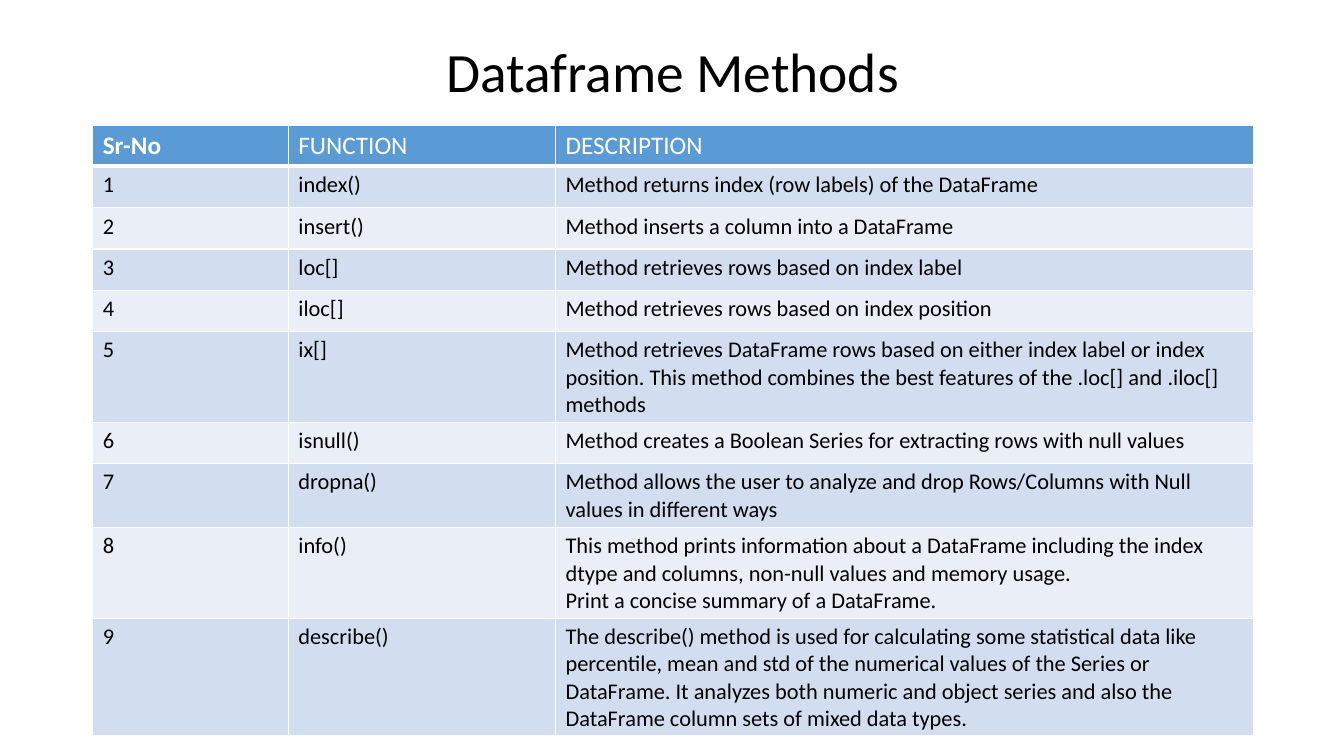
import dataclasses

import lxml.etree
import pptx
import pptx.dml.color
import pptx.enum.text
import pptx.oxml.ns
import pptx.table
import pptx.text.text
import pptx.util

Inches = pptx.util.Inches
RGBColor = pptx.dml.color.RGBColor

FONT = "Calibri"
WHITE = RGBColor(0xFF, 0xFF, 0xFF)
BLACK = RGBColor(0x00, 0x00, 0x00)
BLUE = RGBColor(0x5B, 0x9B, 0xD5)
BANDS = (RGBColor(0xEA, 0xEF, 0xF7), RGBColor(0xD2, 0xDE, 0xEF))

LEFT, WIDTH = 0.92, 11.5
COLUMNS = (1.94, 2.65, 6.92)
ROW = 0.41


@dataclasses.dataclass(frozen=True)
class Method:
    name: str
    lines: tuple[str, ...]


@dataclasses.dataclass(frozen=True)
class Style:
    size: float
    color: RGBColor
    bold: bool = False


HEADS = ("Sr-No", "FUNCTION", "DESCRIPTION")
METHODS = (
    Method("index()", ("Method returns index (row labels) of the DataFrame",)),
    Method("insert()", ("Method inserts a column into a DataFrame",)),
    Method("loc[]", ("Method retrieves rows based on index label",)),
    Method("iloc[]", ("Method retrieves rows based on index position",)),
    Method("ix[]", (
        "Method retrieves DataFrame rows based on either index label or index "
        "position. This method combines the best features of the .loc[] and "
        ".iloc[] methods",)),
    Method("isnull()", (
        "Method creates a Boolean Series for extracting rows with null values",)),
    Method("dropna()", (
        "Method allows the user to analyze and drop Rows/Columns with Null "
        "values in different ways",)),
    Method("info()", (
        "This method prints information about a DataFrame including the index "
        "dtype and columns, non-null values and memory usage.",
        "Print a concise summary of a DataFrame.")),
    Method("describe()", (
        "The describe() method is used for calculating some statistical data "
        "like percentile, mean and std of the numerical values of the Series "
        "or DataFrame. It analyzes both numeric and object series and also "
        "the DataFrame column sets of mixed data types.",)),
)


def write(frame: pptx.text.text.TextFrame, lines: tuple[str, ...], style: Style) -> None:
    for index, line in enumerate(lines):
        para = frame.add_paragraph() if index else frame.paragraphs[0]
        run = para.add_run()
        run.text = line
        run.font.name = FONT
        run.font.size = pptx.util.Pt(style.size)
        run.font.bold = style.bold
        run.font.color.rgb = style.color


def border(cell: pptx.table._Cell, side: str, points: float) -> None:
    qn = pptx.oxml.ns.qn
    props = cell._tc.get_or_add_tcPr()
    line = lxml.etree.SubElement(props, qn(f"a:ln{side}"), w=str(pptx.util.Pt(points)))
    fill = lxml.etree.SubElement(line, qn("a:solidFill"))
    lxml.etree.SubElement(fill, qn("a:srgbClr"), val=str(WHITE))


def paint(cell: pptx.table._Cell, row: int, fill: RGBColor) -> None:
    border(cell, "L", 1)
    border(cell, "R", 1)
    border(cell, "T", 3 if row == 1 else 1)
    border(cell, "B", 3 if row == 0 else 1)
    cell.fill.solid()
    cell.fill.fore_color.rgb = fill


def main() -> None:
    deck = pptx.Presentation()
    deck.slide_width, deck.slide_height = Inches(13.33), Inches(7.5)
    slide = deck.slides.add_slide(deck.slide_layouts[6])

    title = slide.shapes.add_textbox(
        Inches(LEFT), Inches(0.4), Inches(WIDTH), Inches(0.67)).text_frame
    title.word_wrap = True
    title.vertical_anchor = pptx.enum.text.MSO_ANCHOR.MIDDLE
    write(title, ("Dataframe Methods",), Style(39.6, BLACK))
    title.paragraphs[0].alignment = pptx.enum.text.PP_ALIGN.CENTER
    title.paragraphs[0].line_spacing = 0.9

    count = len(METHODS) + 1
    table = slide.shapes.add_table(
        count, len(COLUMNS), Inches(LEFT), Inches(1.24),
        Inches(WIDTH), Inches(ROW * count)).table
    for column, width in zip(table.columns, COLUMNS):
        column.width = Inches(width)
    for row in table.rows:
        row.height = Inches(ROW)

    for col, head in enumerate(HEADS):
        cell = table.cell(0, col)
        paint(cell, 0, BLUE)
        write(cell.text_frame, (head,), Style(18, WHITE, col == 0))
    for row, method in enumerate(METHODS, 1):
        for col, lines in enumerate(((str(row),), (method.name,), method.lines)):
            cell = table.cell(row, col)
            paint(cell, row, BANDS[row % 2])
            write(cell.text_frame, lines, Style(16, BLACK))

    deck.save("out.pptx")


if __name__ == "__main__":
    main()
